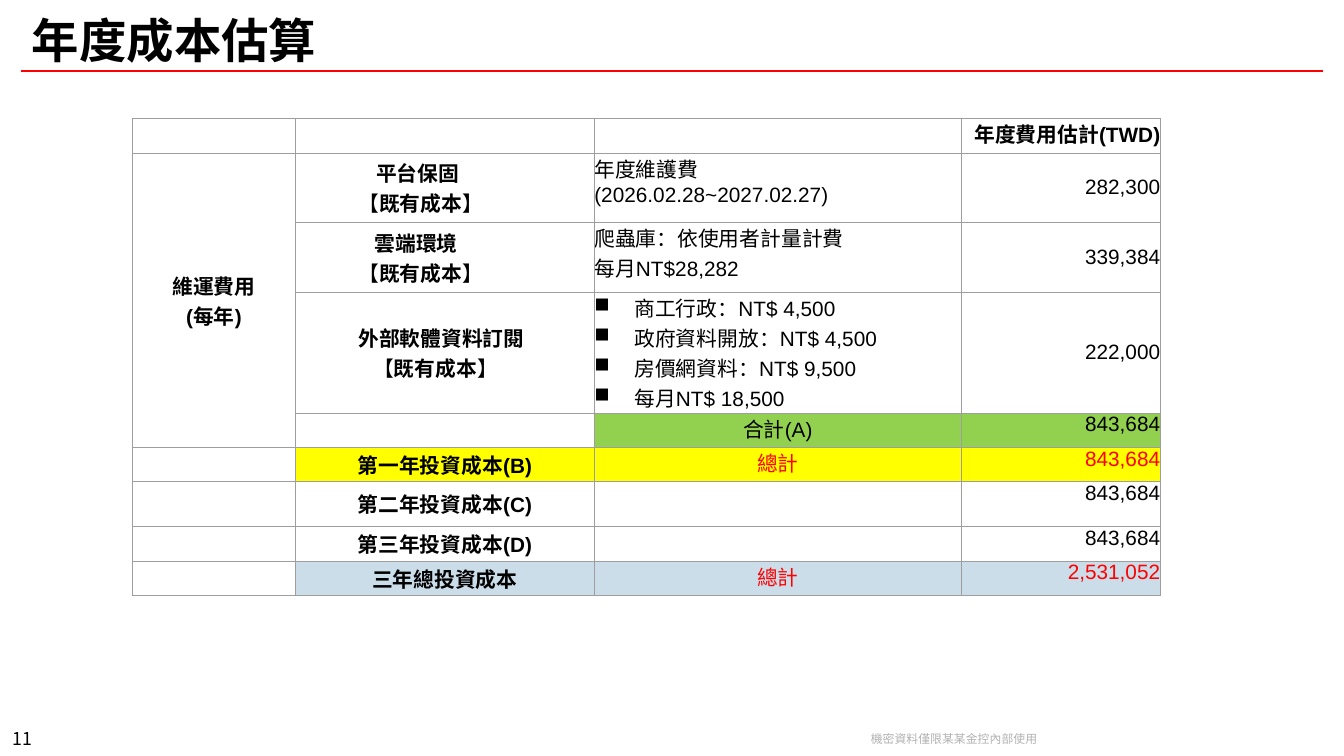
from dataclasses import dataclass

from lxml import etree
from pptx import Presentation
from pptx.dml.color import RGBColor
from pptx.enum.shapes import MSO_CONNECTOR as Connector
from pptx.enum.text import MSO_ANCHOR as Anchor, PP_ALIGN as Align
from pptx.oxml.ns import qn
from pptx.util import Pt


@dataclass(frozen=True)
class Theme:
    black: str = "000000"
    red: str = "FF0000"
    gray: str = "B2B2B2"
    border: str = "9E9E9E"
    green: str = "92D050"
    yellow: str = "FFFF00"
    blue: str = "CBDDE9"
    title_size: float = 32
    table_size: float = 14
    number_size: float = 12
    footer_size: float = 8
    latin: str = "Arial"
    cjk: str = "Noto Sans CJK TC"
    footer_font: str = "Noto Sans CJK SC"


@dataclass(frozen=True)
class Line:
    spans: tuple
    indent: float = 0
    bullet: bool = False


@dataclass(frozen=True)
class Entry:
    lines: tuple = ()
    align: Align = Align.LEFT
    anchor: Anchor = Anchor.TOP
    inset: tuple = (0, 0)
    color: str = Theme.black
    fill: str = ""


THEME = Theme()
COLUMNS = (110, 201.8, 247.7, 134.3)
ROWS = (23.6, 46.6, 47.2, 81.7, 23, 23, 30.4, 23.6, 23)
PADDED = (6.5, 2.9)
BULLET_INDENT = 27


def assign(target, values):
    for name, value in values.items():
        setattr(target, name, value)


def add_span(para, text, size, color, latin, cjk, bold=False):
    span = para.add_run()
    span.text = text
    assign(span.font, {"size": Pt(size), "bold": bold, "name": latin})
    span.font.color.rgb = RGBColor.from_string(color)
    east = etree.SubElement(span.font._element, qn("a:ea"))
    east.set("typeface", cjk)


def add_label(page, box, text, size, color, font, align=Align.LEFT,
              anchor=Anchor.MIDDLE, wrap=True, spacing=None, bold=False):
    frame = page.shapes.add_textbox(*map(Pt, box)).text_frame
    assign(frame, {"word_wrap": wrap, "vertical_anchor": anchor})
    para = frame.paragraphs[0]
    assign(para, {"alignment": align, "line_spacing": spacing})
    add_span(para, text, size, color, font, font, bold)


def add_header(page, box):
    left, top, width, height = box
    add_label(page, box, "年度成本估算", THEME.title_size, THEME.black, THEME.cjk, bold=True)
    base = Pt(top + height)
    rule = page.shapes.add_connector(Connector.STRAIGHT, Pt(left), base, Pt(left + width), base)
    rule.line.color.rgb = RGBColor.from_string(THEME.red)
    rule.line.width = Pt(1.25)
    etree.SubElement(rule._element.spPr, qn("a:effectLst"))


def add_footer(page, box):
    left, top, width, height = box
    add_label(page, (left, top, 30, height), "11", THEME.number_size, THEME.black,
              THEME.cjk, Align.CENTER, Anchor.BOTTOM, False, 0.83)
    add_label(page, (left + 579.6, top - 0.7, 128.9, 16.6), "機密資料僅限某某金控內部使用",
              THEME.footer_size, THEME.gray, THEME.footer_font, Align.CENTER,
              wrap=False, spacing=Pt(9.6))


def plain(*texts, bold=False):
    return tuple(Line(((text, bold),)) for text in texts)


def item(name, name_indent, note_indent):
    note = (("【", False), ("既有成本", True), ("】", False))
    lines = (Line(((name, True),), name_indent), Line(note, note_indent))
    return Entry(lines, anchor=Anchor.MIDDLE, inset=PADDED)


def amount(text, **style):
    return Entry(plain(text), Align.RIGHT, **style)


def centered(text, **style):
    return Entry(plain(text), Align.CENTER, **style)


def year(text, fill=""):
    return Entry(plain(text, bold=True), Align.CENTER, Anchor.MIDDLE, fill=fill)


def cost_entries():
    blank = Entry()
    middle = {"anchor": Anchor.MIDDLE}
    subscriptions = ("商工行政：NT$ 4,500", "政府資料開放：NT$ 4,500",
                     "房價網資料：NT$ 9,500", "每月NT$ 18,500")
    bullets = tuple(Line(((text, False),), BULLET_INDENT, True) for text in subscriptions)
    yearly = Entry(plain("維運費用", "(每年)", bold=True), Align.CENTER, Anchor.MIDDLE, PADDED)
    first = {"color": THEME.red, "fill": THEME.yellow}
    overall = {"color": THEME.red, "fill": THEME.blue}
    return (
        (blank, blank, blank, Entry(plain("年度費用估計(TWD)", bold=True), Align.RIGHT)),
        (yearly, item("平台保固", 48, 36),
         Entry(plain("年度維護費", "(2026.02.28~2027.02.27)")), amount("282,300", **middle)),
        (blank, item("雲端環境", 47, 36),
         Entry(plain("爬蟲庫：依使用者計量計費", "每月NT$28,282")), amount("339,384", **middle)),
        (blank, item("外部軟體資料訂閱", 36, 46), Entry(bullets), amount("222,000", **middle)),
        (blank, blank, centered("合計(A)", fill=THEME.green), amount("843,684", fill=THEME.green)),
        (blank, year("第一年投資成本(B)", THEME.yellow), centered("總計", **first),
         amount("843,684", **first)),
        (blank, year("第二年投資成本(C)"), blank, amount("843,684")),
        (blank, year("第三年投資成本(D)"), blank, amount("843,684")),
        (blank, year("三年總投資成本", THEME.blue), centered("總計", **overall),
         amount("2,531,052", **overall)),
    )


def add_borders(cell):
    props = cell._tc.get_or_add_tcPr()
    for side in ("lnL", "lnR", "lnT", "lnB"):
        edge = etree.SubElement(props, qn(f"a:{side}"), w=str(Pt(0.75)))
        paint = etree.SubElement(edge, qn("a:solidFill"))
        etree.SubElement(paint, qn("a:srgbClr"), val=THEME.border)


def indent_line(para, line):
    props = para._p.get_or_add_pPr()
    props.set("marL", str(Pt(line.indent)))
    props.set("indent", str(Pt(-line.indent if line.bullet else 0)))
    if line.bullet:
        color = etree.SubElement(props, qn("a:buClr"))
        etree.SubElement(color, qn("a:srgbClr"), val=THEME.black)
        etree.SubElement(props, qn("a:buChar"), char="■")


def fill_cell(cell, entry):
    across, down = map(Pt, entry.inset)
    assign(cell, {"margin_left": across, "margin_right": across, "margin_top": down,
                  "margin_bottom": down, "vertical_anchor": entry.anchor})
    add_borders(cell)
    if entry.fill:
        cell.fill.solid()
        cell.fill.fore_color.rgb = RGBColor.from_string(entry.fill)
    else:
        cell.fill.background()
    frame = cell.text_frame
    if not entry.lines:
        frame.paragraphs[0]._p.get_or_add_endParaRPr().set("sz", str(THEME.table_size * 100))
    for index, line in enumerate(entry.lines):
        para = frame.add_paragraph() if index else frame.paragraphs[0]
        para.alignment = entry.align
        indent_line(para, line)
        for text, bold in line.spans:
            add_span(para, text, THEME.table_size, entry.color, THEME.latin, THEME.cjk, bold)


def add_cost_table(page, box):
    entries = cost_entries()
    table = page.shapes.add_table(len(ROWS), len(COLUMNS), *map(Pt, box)).table
    assign(table, {"first_row": False, "horz_banding": False})
    for column, width in zip(table.columns, COLUMNS):
        column.width = Pt(width)
    for row, height in zip(table.rows, ROWS):
        row.height = Pt(height)
    for row, row_entries in zip(table.rows, entries):
        for cell, entry in zip(row.cells, row_entries):
            fill_cell(cell, entry)
    table.cell(1, 0).merge(table.cell(4, 0))


def main():
    deck = Presentation()
    assign(deck, {"slide_width": Pt(907.2), "slide_height": Pt(510.5)})
    page = deck.slides.add_slide(deck.slide_layouts[6])
    add_footer(page, (0, 491, 907.2, 18.7))
    add_header(page, (14.4, 5.8, 878.8, 42.4))
    add_cost_table(page, (89.4, 79.9, sum(COLUMNS), sum(ROWS)))
    deck.save("out.pptx")


if __name__ == "__main__":
    main()
